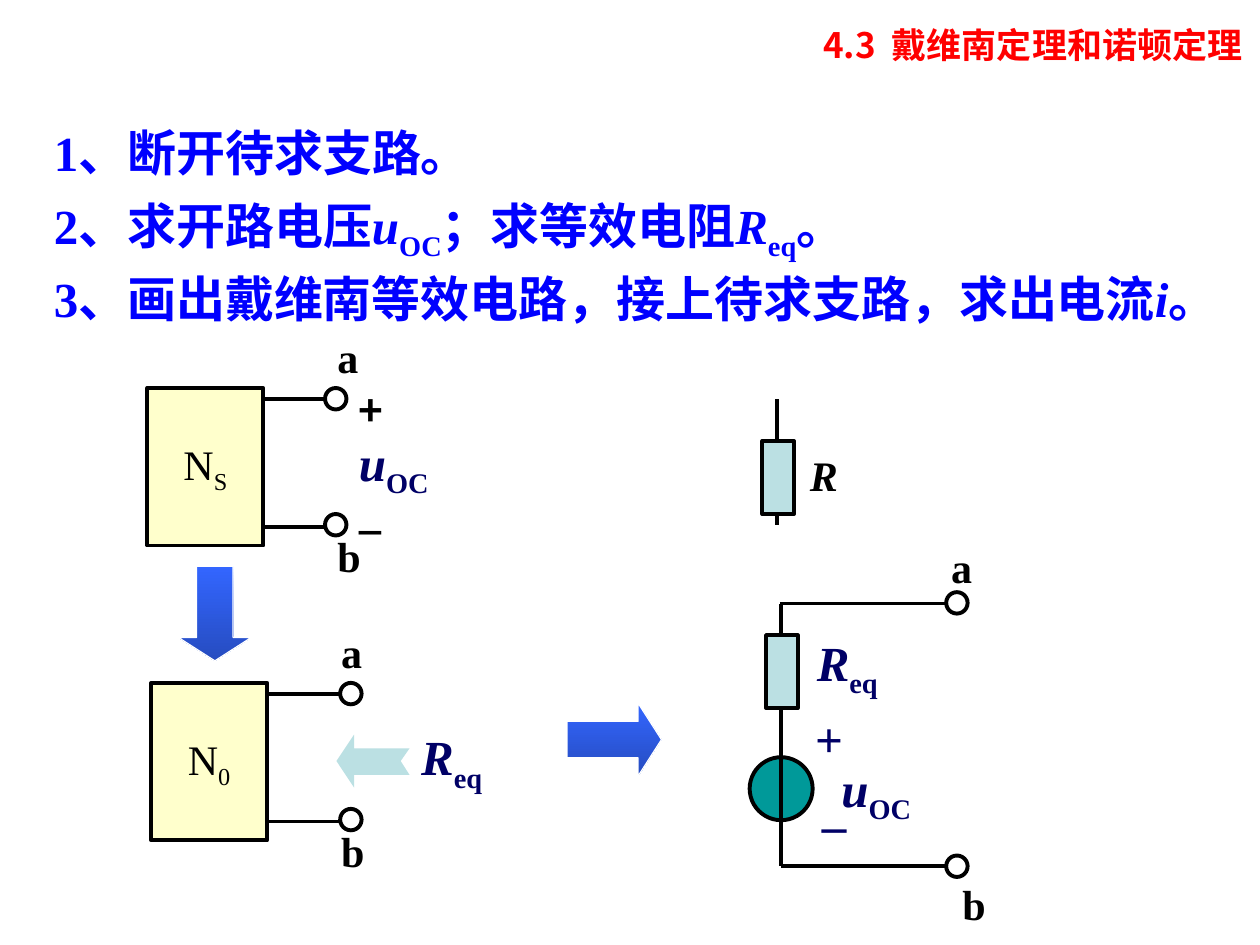
from dataclasses import dataclass

from lxml import etree
from pptx import Presentation
from pptx.dml.color import RGBColor
from pptx.enum.shapes import MSO_CONNECTOR, MSO_SHAPE
from pptx.enum.text import MSO_ANCHOR, PP_ALIGN
from pptx.oxml.ns import qn
from pptx.util import Inches, Pt

LEFT, CENTER, RIGHT = PP_ALIGN.LEFT, PP_ALIGN.CENTER, PP_ALIGN.RIGHT
TOP, MIDDLE = MSO_ANCHOR.TOP, MSO_ANCHOR.MIDDLE
RECTANGLE, OVAL, ARROW = MSO_SHAPE.RECTANGLE, MSO_SHAPE.OVAL, MSO_SHAPE.RIGHT_ARROW
STRAIGHT = MSO_CONNECTOR.STRAIGHT


@dataclass(frozen=True)
class Theme:
    serif: str = "Times New Roman"
    sans: str = "Noto Sans CJK SC"
    black: str = "000000"
    white: str = "FFFFFF"
    title: str = "FF0000"
    step: str = "0000FF"
    quantity: str = "000066"
    network: str = "FFFFCC"
    resistor: str = "BBE0E3"
    source: str = "009999"
    arrow_start: str = "3366FF"
    arrow_end: str = "264CC0"
    title_size: int = 20
    label_size: int = 24
    step_size: int = 28
    wire: float = 2.25
    outline: float = 0.75


THEME = Theme()

TITLE = "4.3  戴维南定理和诺顿定理"
U_OC = [("u", "italic"), ("OC", "sub")]
R_EQ = [("R", "italic"), ("eq", "sub")]
STEPS = [
    ((0.33, 0.92, 9.42, 0.57), [("1、断开待求支路。", "")]),
    ((0.33, 1.5, 9.42, 0.63),
     [("2、求开路电压", ""), *U_OC, ("；求等效电阻", ""), *R_EQ, ("。", "")]),
    ((0.33, 2.08, 9.67, 1.04),
     [("3、画出戴维南等效电路，接上待求支路，求出电流", ""), ("i", "italic"), ("。", "")]),
]
NETWORKS = [
    {"left": 1.17, "top": 3.08, "terminal": 2.58, "label": 2.58, "sub": "S"},
    {"left": 1.2, "top": 5.42, "terminal": 2.7, "label": 2.61, "sub": "0"},
]
QUANTITIES = [
    ((2.5, 3.38, 1.25, 0.63), U_OC),
    ((3.17, 5.72, 0.83, 0.63), R_EQ),
    ((6.31, 4.97, 0.83, 0.63), R_EQ),
    ((6.04, 5.97, 1.83, 0.63), U_OC),
    ((6.33, 5.57, 0.5, 0.57), [("+", "")]),
    ((6.37, 6.12, 0.5, 0.57), [("_", "")]),
]
OPEN_VOLTAGE_SIGNS = [("+", 3.0), ("_", 3.81)]
EQUIVALENT_WIRES = [(6.2, 4.79, 6.2, 6.87), (6.2, 6.87, 7.59, 6.87), (6.19, 4.79, 7.59, 4.79)]
EQUIVALENT_TERMINALS = [("a", 4.7, 7.45, 4.25), ("b", 6.79, 7.54, 6.92)]
FLOW_ARROWS = [(1.33, 4.58, 90), (4.5, 5.58, 0)]
LOOK_IN_ARROW = [(3.25, 5.94), (2.81, 5.94), (2.81, 5.83), (2.67, 6.04),
                 (2.81, 6.25), (2.81, 6.15), (3.25, 6.15), (3.18, 6.04)]
DOT = 0.17


def rgb(color):
    return RGBColor.from_string(color)


def write(frame, runs, *, size=THEME.label_size, color=THEME.black, font=THEME.serif,
          bold=True, align=LEFT, anchor=TOP, wrap=True):
    """Fill a text frame with (text, style) runs."""
    frame.word_wrap = wrap
    frame.vertical_anchor = anchor
    paragraph = frame.paragraphs[0]
    paragraph.alignment = align
    for text, style in runs:
        run = paragraph.add_run()
        run.text = text
        run.font.name = font
        run.font.size = Pt(size)
        run.font.bold = bold
        run.font.italic = style == "italic"
        run.font.color.rgb = rgb(color)
        properties = run._r.get_or_add_rPr()
        if style == "sub":
            properties.set("baseline", "-25000")
        etree.SubElement(properties, qn("a:ea")).set("typeface", THEME.sans)


def label(slide, box, runs, **text_format):
    frame = slide.shapes.add_textbox(*map(Inches, box)).text_frame
    write(frame, runs, **text_format)


def solid(slide, kind, box, fill):
    part = slide.shapes.add_shape(kind, *map(Inches, box))
    part.shadow.inherit = False
    part.fill.solid()
    part.fill.fore_color.rgb = rgb(fill)
    part.line.color.rgb = rgb(THEME.black)
    part.line.width = Pt(THEME.wire)
    return part


def wire(slide, *ends):
    conductor = slide.shapes.add_connector(STRAIGHT, *map(Inches, ends))
    conductor.line.color.rgb = rgb(THEME.black)
    conductor.line.width = Pt(THEME.wire)
    etree.SubElement(conductor._element.spPr, qn("a:effectLst"))


def terminal(slide, name, left, top, label_left, label_top):
    solid(slide, OVAL, (left, top, DOT, DOT), THEME.white)
    label(slide, (label_left, label_top, 0.75, 0.5), [(name, "")])


def resistor(slide, left, top):
    solid(slide, RECTANGLE, (left, top, 0.25, 0.58), THEME.resistor).rotation = 180


def network(slide, left, top, terminal_left, label_left, sub):
    block = solid(slide, RECTANGLE, (left, top, 0.92, 1.25), THEME.network)
    write(block.text_frame, [("N", ""), (sub, "sub")], bold=False,
          align=CENTER, anchor=MIDDLE, wrap=False)
    for name, wire_drop, dot_drop, label_drop in (("a", 0.09, 0, -0.5), ("b", 1.1, 1, 1.08)):
        level = top + wire_drop
        wire(slide, left + 0.92, level, terminal_left + DOT / 2, level)
        terminal(slide, name, terminal_left, top + dot_drop, label_left, top + label_drop)


def flow_arrow(slide, left, top, rotation):
    arrow = solid(slide, ARROW, (left, top, 0.75, 0.58), THEME.arrow_start)
    arrow.rotation = rotation
    arrow.adjustments[0], arrow.adjustments[1] = 0.5, 0.32
    arrow.fill.gradient()
    arrow.fill.gradient_angle = (270 + rotation) % 360
    for stop, color in zip(arrow.fill.gradient_stops, (THEME.arrow_start, THEME.arrow_end)):
        stop.color.rgb = rgb(color)
    arrow.line.color.rgb = rgb(THEME.white)
    arrow.line.width = Pt(THEME.outline)


def look_in_arrow(slide):
    points = [(Inches(x), Inches(y)) for x, y in LOOK_IN_ARROW]
    builder = slide.shapes.build_freeform(*points[0])
    builder.add_line_segments(points[1:], close=True)
    arrow = builder.convert_to_shape()
    arrow.shadow.inherit = False
    arrow.fill.solid()
    arrow.fill.fore_color.rgb = rgb(THEME.resistor)
    arrow.line.fill.background()


def main():
    deck = Presentation()
    deck.slide_width, deck.slide_height = Inches(10), Inches(7.5)
    slide = deck.slides.add_slide(deck.slide_layouts[6])

    label(slide, (1.46, 0.14, 8.5, 0.47), [(TITLE, "")], size=THEME.title_size,
          color=THEME.title, font=THEME.sans, align=RIGHT)
    for box, runs in STEPS:
        label(slide, box, runs, size=THEME.step_size, color=THEME.step)

    for item in NETWORKS:
        network(slide, item["left"], item["top"], item["terminal"], item["label"], item["sub"])
    for sign, top in OPEN_VOLTAGE_SIGNS:
        label(slide, (2.75, top, 0.75, 0.5), [(sign, "")], font=THEME.sans)
    look_in_arrow(slide)
    for arrow in FLOW_ARROWS:
        flow_arrow(slide, *arrow)

    wire(slide, 6.17, 3.17, 6.17, 4.17)
    resistor(slide, 6.05, 3.5)
    label(slide, (6.33, 3.52, 0.75, 0.5), [("R", "italic")])

    solid(slide, OVAL, (5.95, 6.01, 0.5, 0.5), THEME.source)
    for ends in EQUIVALENT_WIRES:
        wire(slide, *ends)
    for name, top, label_left, label_top in EQUIVALENT_TERMINALS:
        terminal(slide, name, 7.51, top, label_left, label_top)
    resistor(slide, 6.08, 5.04)
    for box, runs in QUANTITIES:
        label(slide, box, runs, size=THEME.step_size, color=THEME.quantity,
              align=CENTER, anchor=MIDDLE)

    deck.save("out.pptx")


if __name__ == "__main__":
    main()
